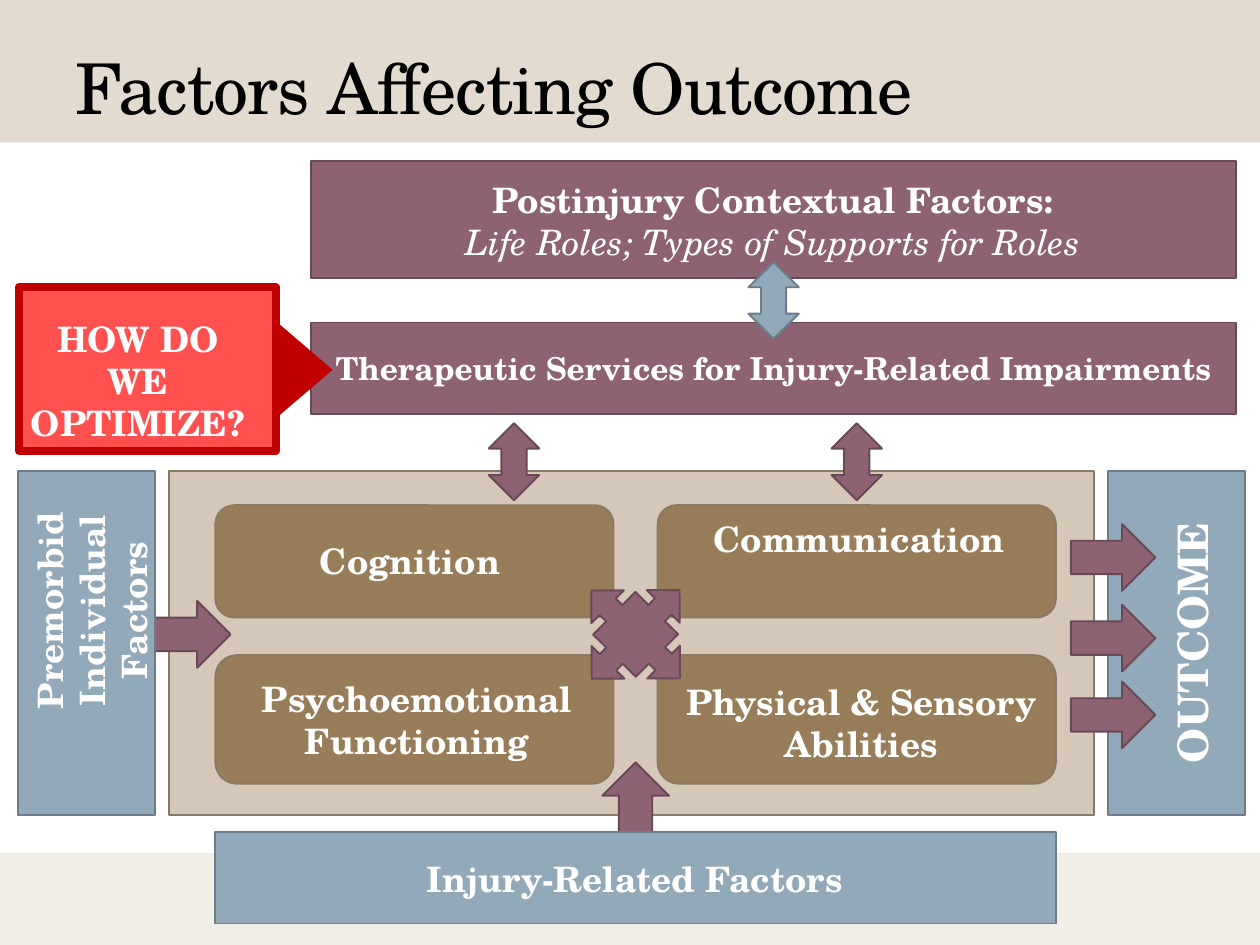
"""Build the Factors Affecting Outcome slide."""
from pptx import Presentation
from pptx.dml.color import RGBColor
from pptx.enum.shapes import MSO_SHAPE as SHAPE
from pptx.enum.text import MSO_ANCHOR as ANCHOR, MSO_AUTO_SIZE as AUTO, PP_ALIGN as ALIGN
from pptx.util import Inches, Pt

FONT = "TeX Gyre Schola"
COLORS = {
    "black": "000000", "white": "FFFFFF", "band": "E3DBD0", "footer": "F1EDE7",
    "sand": "D5C8B8", "brown": "987D5A", "brown_line": "897965",
    "plum": "8D6374", "plum_line": "684956", "blue": "92A9B9", "blue_line": "6C7D89",
    "red": "FF5050", "dark_red": "C00000",
}


def rgb(name):
    return RGBColor.from_string(COLORS[name])


def add_box(shapes, kind, x, y, w, h, fill, line=None, rot=0, weight=1.1):
    sp = shapes.add_shape(kind, Inches(x), Inches(y), Inches(w), Inches(h))
    sp.shadow.inherit = False
    sp.rotation = rot
    sp.fill.solid()
    sp.fill.fore_color.rgb = rgb(fill)
    if line:
        sp.line.color.rgb = rgb(line)
        sp.line.width = Pt(weight)
    else:
        sp.line.fill.background()
    return sp


def format_run(r, size, color="white", bold=True, italic=False):
    r.font.name = FONT
    r.font.size = Pt(size)
    r.font.bold = bold
    r.font.italic = italic
    r.font.color.rgb = rgb(color)


def add_label(shapes, text, x, y, w, h, size=20, rot=0):
    sp = shapes.add_textbox(Inches(x), Inches(y), Inches(w), Inches(h))
    sp.rotation = rot
    tf = sp.text_frame
    tf.text = text
    tf.word_wrap = True
    tf.auto_size = AUTO.NONE
    for p in tf.paragraphs:
        p.alignment = ALIGN.CENTER
        for r in p.runs:
            format_run(r, size)
    return sp


def add_arrow(shapes, x, y, rot=0):
    add_box(shapes, SHAPE.RIGHT_ARROW, x, y, 0.67, 0.53, "plum", "plum_line", rot)


def add_double_arrow(shapes, x, y, color):
    add_box(shapes, SHAPE.UP_DOWN_ARROW, x, y, 0.4, 0.61, color, f"{color}_line")


def add_title(s):
    sp = s.shapes.title
    sp.left, sp.top, sp.width, sp.height = (Inches(v) for v in (0.5, 0.16, 9, 0.92))
    tf = sp.text_frame
    tf.text = "Factors Affecting Outcome"
    tf.vertical_anchor = ANCHOR.BOTTOM
    tf.auto_size = AUTO.NONE
    p = tf.paragraphs[0]
    p.alignment = ALIGN.LEFT
    p.line_spacing = 0.9
    r = p.runs[0]
    format_run(r, 40, "black", bold=False)
    r.font._element.set("spc", "-50")
    band = add_box(s.shapes, SHAPE.RECTANGLE, 0, 0, 10, 1.13, "band")
    sp.element.addprevious(band.element)


def add_impairments(shapes):
    add_box(shapes, SHAPE.RECTANGLE, 1.34, 3.74, 7.34, 2.73, "sand", "brown_line")
    for y, h in ((4.01, 0.89), (5.2, 1.02)):
        for x in (1.71, 5.22):
            add_box(shapes, SHAPE.ROUNDED_RECTANGLE, x, y, 3.16, h, "brown", "brown_line")
    add_label(shapes, "Cognition", 1.99, 4.23, 2.53, 0.44)
    add_label(shapes, "Communication", 5.4, 4.06, 2.84, 0.44)
    add_label(shapes, "Psychoemotional Functioning", 1.73, 5.33, 3.16, 0.77)
    add_label(shapes, "Physical & Sensory Abilities", 5.26, 5.35, 3.16, 0.77)
    add_arrow(shapes, 1.16, 4.77)
    add_box(shapes, SHAPE.QUAD_ARROW_CALLOUT, 4.55, 4.54, 0.99, 0.99,
            "plum", "plum_line", rot=314.7)


def add_influences(shapes):
    add_box(shapes, SHAPE.RECTANGLE, 0.14, 3.74, 1.09, 2.73, "blue", "blue_line")
    add_arrow(shapes, 4.71, 6.12, rot=270)
    add_label(shapes, "Premorbid Individual Factors", -0.8, 4.46, 2.73, 0.77, rot=270)
    add_box(shapes, SHAPE.RECTANGLE, 1.71, 6.6, 6.67, 0.73, "blue", "blue_line")
    add_label(shapes, "Injury-Related Factors", 2.83, 6.76, 4.42, 0.44)


def add_outcome(shapes):
    add_box(shapes, SHAPE.RECTANGLE, 8.79, 3.74, 1.09, 2.73, "blue", "blue_line")
    add_label(shapes, "OUTCOME", 8.1, 4.85, 2.72, 0.5, size=24, rot=270)
    for y in (4.16, 4.8, 5.41):
        add_arrow(shapes, 8.5, y)


def add_context(shapes):
    add_box(shapes, SHAPE.RECTANGLE, 2.47, 2.56, 7.34, 0.73, "plum", "plum_line")
    add_label(shapes, "Therapeutic Services for Injury-Related Impairments",
              2.47, 2.72, 7.34, 0.4, size=18)
    add_box(shapes, SHAPE.RECTANGLE, 2.47, 1.28, 7.34, 0.93, "plum", "plum_line")
    sp = add_label(shapes, "Postinjury Contextual Factors:\nLife Roles; Types of Supports for Roles",
                   2.99, 1.37, 6.29, 0.77)
    format_run(sp.text_frame.paragraphs[1].runs[0], 20, bold=False, italic=True)
    for x in (3.88, 6.6):
        add_double_arrow(shapes, x, 3.36, "plum")
    add_double_arrow(shapes, 5.94, 2.08, "blue")


def add_callout(shapes):
    group = shapes.add_group_shape().shapes
    add_box(group, SHAPE.RECTANGLE, 0.15, 2.28, 2.04, 1.3, "red", "dark_red", weight=4.5)
    add_label(group, "HOW DO WE OPTIMIZE?", 0.14, 2.47, 1.91, 0.77)
    add_box(group, SHAPE.ISOSCELES_TRIANGLE, 2.03, 2.71, 0.77, 0.45, "dark_red", rot=90)


def main():
    prs = Presentation()
    prs.slide_width, prs.slide_height = Inches(10), Inches(7.5)
    s = prs.slides.add_slide(prs.slide_layouts[5])
    add_title(s)
    add_box(s.shapes, SHAPE.RECTANGLE, 0, 6.77, 10, 0.73, "footer")
    add_impairments(s.shapes)
    add_influences(s.shapes)
    add_outcome(s.shapes)
    add_context(s.shapes)
    add_callout(s.shapes)
    prs.save("out.pptx")


if __name__ == "__main__":
    main()
